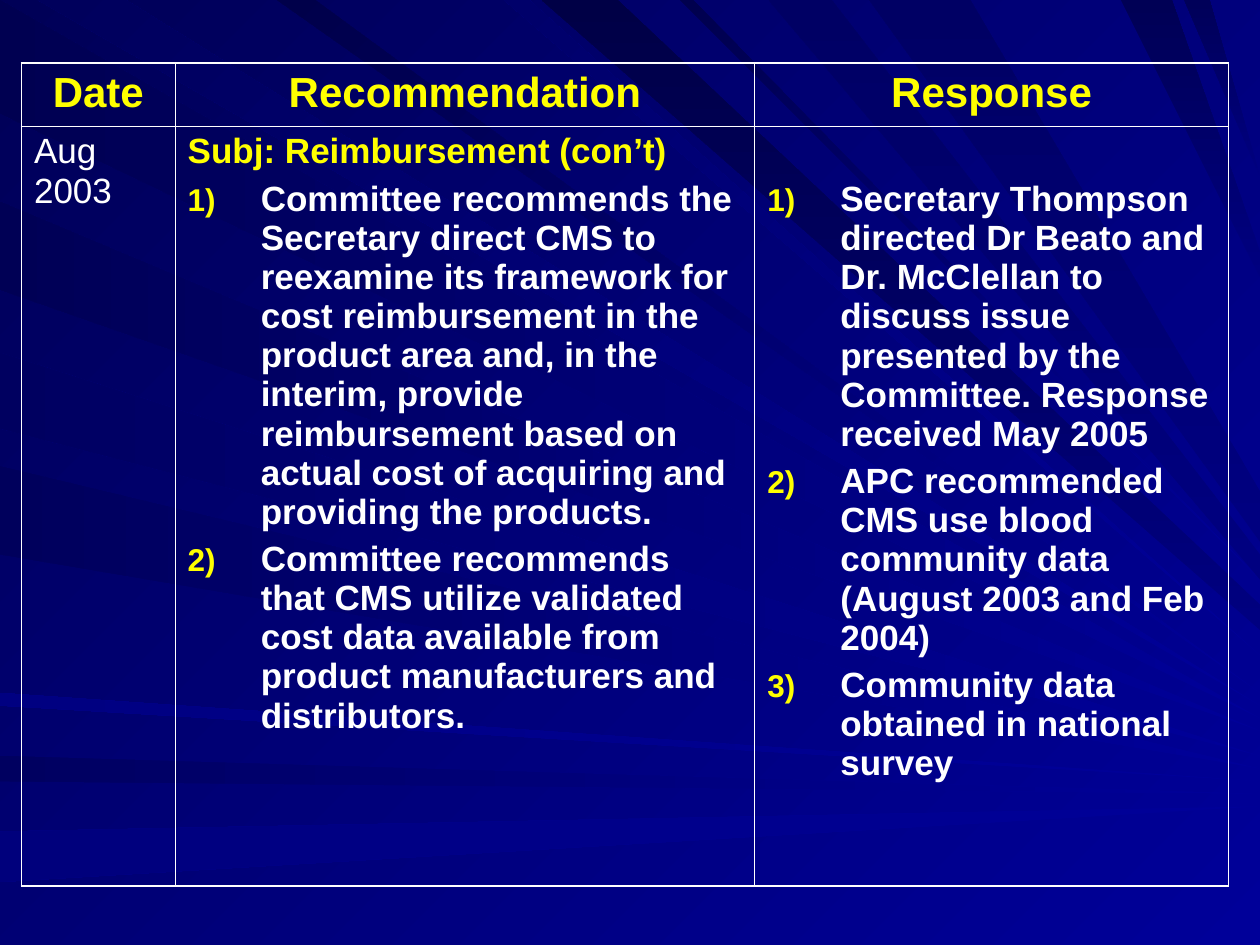
"""Build a slide with a table of committee recommendations over a background of rays."""
from dataclasses import dataclass

from lxml.etree import SubElement
from pptx import Presentation
from pptx.dml.color import RGBColor as Rgb
from pptx.enum.text import MSO_ANCHOR as Anchor, PP_ALIGN as Align
from pptx.oxml.ns import qn
from pptx.util import Inches, Pt


@dataclass(frozen=True)
class Theme:
    font: str = "Arial"
    accent: str = "FFFF00"
    body: str = "FFFFFF"
    rule: str = "FFFFFF"
    bright: str = "000099"
    middle: str = "000080"
    dark: str = "000057"
    heading_size: int = 24
    body_size: int = 20
    outer_rule: float = 1.08
    inner_rule: float = 0.45


THEME = Theme()
WIDTH, HEIGHT = Inches(10), Inches(7.5)
UNIT = WIDTH / 100
INDENT = round(5.8 * UNIT)

LEFT_RAYS = [(0, 9, 57, "000051"), (16, 23, 58, "000055"), (28, 34, 60, "000060"),
             (37, 44, 61, "00005C"), (55, 56, 62, "000081"), (60, 62, 63, "000060"),
             (66, 70, 64, "00007C")]
THIN_TOP_RAYS = [(3, 10, 56, "00005C"), (22, 25, 55, "00004A"), (40, 42, 52, "00006A"),
                 (54, 55, 46, "00004E")]
WIDE_TOP_RAYS = [(43, 49, 49, "000046"), (61, 66, 45, "000064"), (69, 77, 41, "000064"),
                 (89, 93, 21, "000055"), (94, 96, 14, "000059")]
FANS = [
    (LEFT_RAYS, "left", 0, THEME.bright, 180),
    (THIN_TOP_RAYS, "top", 0, THEME.bright, 225),
    (WIDE_TOP_RAYS, "top", 0.25, THEME.middle, 270),
]

COLUMNS = [12.2, 46, 37.6]
ROWS = [5, 60.3]
HEADINGS = ["Date", "Recommendation", "Response"]
RECOMMENDATIONS = [
    "Committee recommends the Secretary direct CMS to reexamine its framework for cost "
    "reimbursement in the product area and, in the interim, provide reimbursement based on "
    "actual cost of acquiring and providing the products.",
    "Committee recommends that CMS utilize validated cost data available from product "
    "manufacturers and distributors.",
]
RESPONSES = [
    "Secretary Thompson directed Dr Beato and Dr. McClellan to discuss issue presented by the "
    "Committee. Response received May 2005",
    "APC recommended CMS use blood community data (August 2003 and Feb 2004)",
    "Community data obtained in national survey",
]


def shade(fill, start, end, angle):
    """Fill with a gradient at a clockwise angle."""
    fill.gradient()
    fill.gradient_angle = 360 - angle
    for stop, color in zip(fill.gradient_stops, (start, end)):
        stop.color.rgb = Rgb.from_string(color)


def write(cell, text, size=THEME.body_size, color=THEME.body, bold=True,
          align=Align.LEFT, numbered=False):
    """Put a paragraph in the cell, after any text it already holds."""
    frame = cell.text_frame
    first = not frame.text
    paragraph = frame.paragraphs[0] if first else frame.add_paragraph()
    paragraph.alignment = align
    paragraph.space_before = Pt(0 if first else 5)
    if numbered:
        layout = paragraph._p.get_or_add_pPr()
        layout.set("marL", str(INDENT))
        layout.set("indent", str(-INDENT))
        SubElement(SubElement(layout, qn("a:buClr")), qn("a:srgbClr"), val=THEME.accent)
        SubElement(layout, qn("a:buSzPct"), val="90000")
        SubElement(layout, qn("a:buFont"), typeface=THEME.font)
        SubElement(layout, qn("a:buAutoNum"), type="arabicParenR")
    run = paragraph.add_run()
    run.text = text
    run.font.name, run.font.size, run.font.bold = THEME.font, Pt(size), bold
    run.font.color.rgb = Rgb.from_string(color)


deck = Presentation()
deck.slide_width, deck.slide_height = WIDTH, HEIGHT
slide = deck.slides.add_slide(deck.slide_layouts[6])
shade(slide.background.fill, THEME.bright, THEME.dark, 225)

sunburst = slide.shapes.add_group_shape().shapes
for rays, side, spread, bright, angle in FANS:
    for near, far, tip, dark in rays:
        base = [(0, near), (0, far)] if side == "left" else [(near, 0), (far, 0)]
        half = spread * (far - near)
        outline = sunburst.build_freeform(*base[0], scale=UNIT)
        outline.add_line_segments([(100, round(tip + half)), (100, round(tip - half)), base[1]])
        ray = outline.convert_to_shape()
        ray.shadow.inherit = False
        ray.line.fill.background()
        shade(ray.fill, bright, dark, angle)

table = slide.shapes.add_table(
    len(ROWS), len(COLUMNS), round(1.7 * UNIT), round(5 * UNIT),
    round(sum(COLUMNS) * UNIT), round(sum(ROWS) * UNIT)).table
table.first_row = table.horz_banding = False
for column, width in zip(table.columns, COLUMNS):
    column.width = round(width * UNIT)
for row, height in zip(table.rows, ROWS):
    row.height = round(height * UNIT)

for r in range(len(ROWS)):
    for c in range(len(COLUMNS)):
        cell = table.cell(r, c)
        cell.vertical_anchor = Anchor.TOP
        edges = {"L": c == 0, "R": c == len(COLUMNS) - 1, "T": r == 0, "B": r == len(ROWS) - 1}
        for edge, outer in edges.items():
            weight = Pt(THEME.outer_rule if outer else THEME.inner_rule)
            border = SubElement(cell._tc.get_or_add_tcPr(), qn(f"a:ln{edge}"), w=str(weight))
            SubElement(SubElement(border, qn("a:solidFill")), qn("a:srgbClr"), val=THEME.rule)
        cell.fill.background()

for c, heading in enumerate(HEADINGS):
    write(table.cell(0, c), heading, size=THEME.heading_size, color=THEME.accent,
          align=Align.CENTER)

date, recommendation, response = (table.cell(1, c) for c in range(len(COLUMNS)))
write(date, "Aug 2003", bold=False)
write(recommendation, "Subj: Reimbursement (con’t)", color=THEME.accent)
response.margin_top = round(4.3 * UNIT)
for cell, points in ((recommendation, RECOMMENDATIONS), (response, RESPONSES)):
    for point in points:
        write(cell, point, numbered=True)

deck.save("out.pptx")
